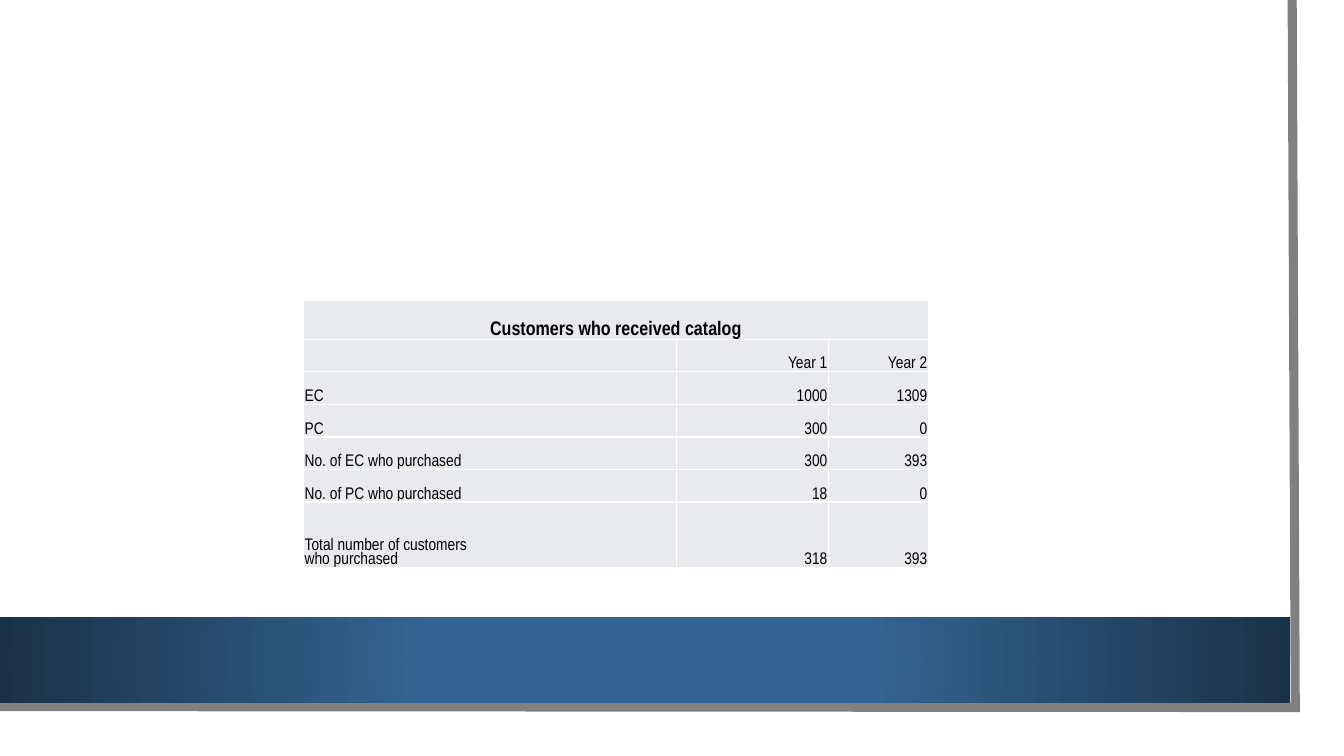
from lxml import etree
from pptx import Presentation
from pptx import util as u
from pptx.dml.color import RGBColor
from pptx.enum import shapes, text
from pptx.oxml import ns, parse_xml

A = 'xmlns:a="http://schemas.openxmlformats.org/drawingml/2006/main"'
BORDER = (
    '<a:{side} {ns} w="12700"><a:solidFill><a:srgbClr val="{color}"/></a:solidFill></a:{side}>'
)
GRADIENT = (
    '<a:gradFill {ns} rotWithShape="1"><a:gsLst>'
    '<a:gs pos="34000"><a:srgbClr val="{inner}"/></a:gs>'
    '<a:gs pos="100000"><a:srgbClr val="{outer}"/></a:gs></a:gsLst>'
    '<a:path path="circle"><a:fillToRect l="50000" t="50000" r="50000" b="50000"/></a:path>'
    '</a:gradFill>'
)
LEFT, CENTER, RIGHT = text.PP_ALIGN.LEFT, text.PP_ALIGN.CENTER, text.PP_ALIGN.RIGHT

TITLE = "Customers who received catalog"
ROWS = [
    ("", "Year 1", "Year 2"),
    ("EC", "1000", "1309"),
    ("PC", "300", "0"),
    ("No. of EC who purchased", "300", "393"),
    ("No. of PC who purchased", "18", "0"),
    ("Total number of customers \nwho purchased", "318", "393"),
]


def rgb(value):
    return RGBColor.from_string(value)


def write(frame, wording, font="Arial Narrow", size=12, color="000000", bold=False,
          align=LEFT, spacing=0.9):
    paragraph = frame.paragraphs[0]
    paragraph.text = wording
    paragraph.alignment = align
    paragraph.line_spacing = spacing
    for run in paragraph.runs:
        run.font.name = font
        run.font.size = u.Pt(size)
        run.font.bold = bold
        run.font.color.rgb = rgb(color)


class CatalogSlide:
    white, edge, cell_fill = "FFFFFF", "808080", "E8EAEE"
    band_inner, band_outer = "346492", "1A3249"

    def __init__(self, deck):
        self.slide = deck.slides.add_slide(deck.slide_layouts[6])

    def rectangle(self, left, top, width, height, color):
        box = self.slide.shapes.add_shape(
            shapes.MSO_SHAPE.RECTANGLE, u.Pt(left), u.Pt(top), u.Pt(width), u.Pt(height))
        box.shadow.inherit = False
        box.fill.solid()
        box.fill.fore_color.rgb = rgb(color)
        box.line.fill.background()
        return box

    def gradient_band(self, left, top, width, height):
        band = self.rectangle(left, top, width, height, self.band_inner)
        properties = band._element.spPr
        solid = properties.find(ns.qn("a:solidFill"))
        properties.replace(solid, parse_xml(
            GRADIENT.format(ns=A, inner=self.band_inner, outer=self.band_outer)))

    def outline(self, points, width):
        start, *rest = [(u.Pt(x), u.Pt(y)) for x, y in points]
        builder = self.slide.shapes.build_freeform(*start)
        builder.add_line_segments(rest, close=False)
        border = builder.convert_to_shape()
        border.shadow.inherit = False
        border.fill.background()
        border.line.color.rgb = rgb(self.edge)
        border.line.width = u.Pt(width)
        etree.SubElement(border.line._get_or_add_ln(), ns.qn("a:miter"), lim="800000")

    def style_cell(self, cell):
        cell.margin_left = cell.margin_right = cell.margin_top = u.Pt(0.72)
        cell.margin_bottom = 0
        cell.vertical_anchor = text.MSO_ANCHOR.BOTTOM
        properties = cell._tc.get_or_add_tcPr()
        for side in ("lnL", "lnR", "lnT", "lnB"):
            properties.append(parse_xml(BORDER.format(side=side, ns=A, color=self.white)))
        cell.fill.solid()
        cell.fill.fore_color.rgb = rgb(self.cell_fill)

    def table(self, left, top, widths, heights, title, rows):
        grid = self.slide.shapes.add_table(
            len(heights), len(widths), u.Pt(left), u.Pt(top),
            u.Pt(sum(widths)), u.Pt(sum(heights))).table
        for column, width in zip(grid.columns, widths):
            column.width = u.Pt(width)
        for row, height in zip(grid.rows, heights):
            row.height = u.Pt(height)
        for cell in grid.iter_cells():
            self.style_cell(cell)
        heading = grid.cell(0, 0)
        heading.merge(grid.cell(0, len(widths) - 1))
        write(heading.text_frame, title, size=14, bold=True, align=CENTER)
        for r, values in enumerate(rows, start=1):
            for c, value in enumerate(values):
                if value:
                    write(grid.cell(r, c).text_frame, value, align=RIGHT if c else LEFT)


def main():
    deck = Presentation()
    deck.slide_width, deck.slide_height = u.Pt(960), u.Pt(540)
    catalog = CatalogSlide(deck)
    catalog.rectangle(0, 0, 943.2, 523.4, catalog.white)
    catalog.outline([(923, 0), (925.2, 505.4), (-2.2, 504.7)], 6.5)
    catalog.gradient_band(0, 440.8, 921.6, 61.2)
    catalog.table(216.9, 214.9, [266.2, 108.6, 71.4], [27.4] + [23.3] * 5 + [46.5], TITLE, ROWS)
    deck.save("out.pptx")


if __name__ == "__main__":
    main()
